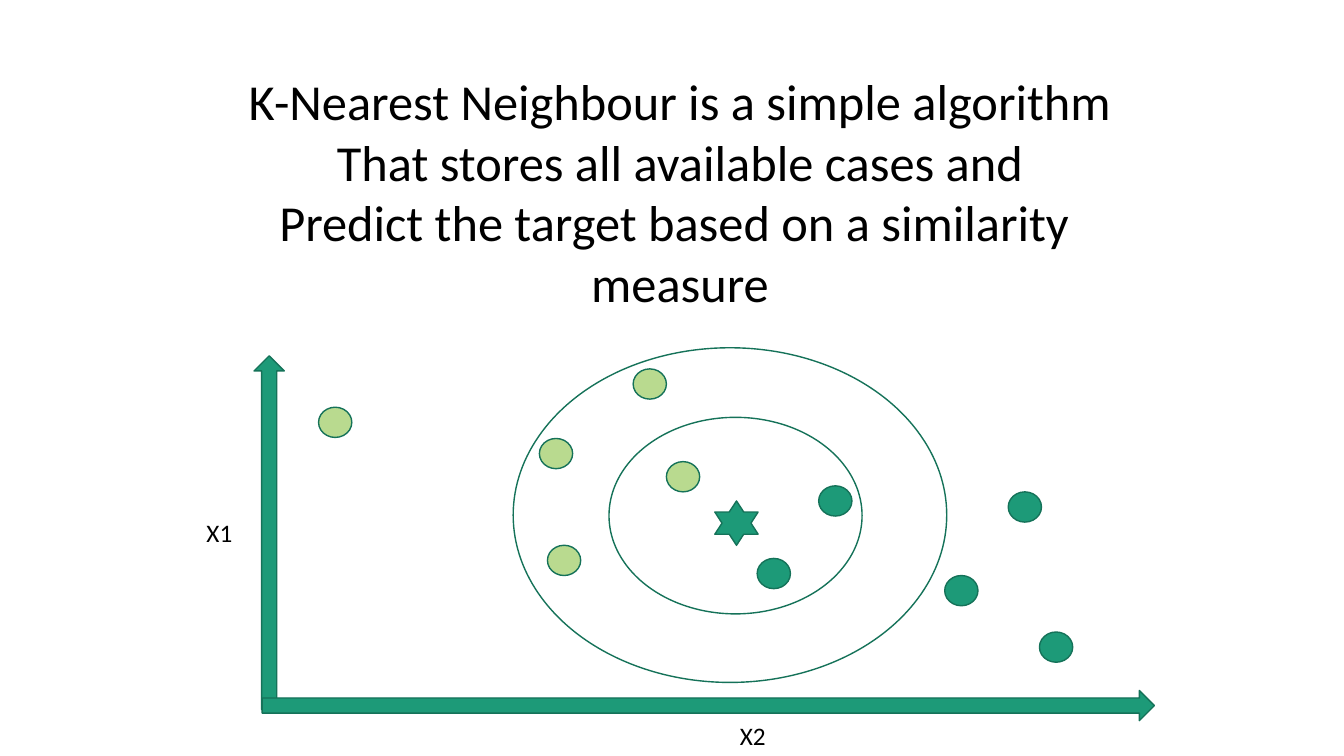
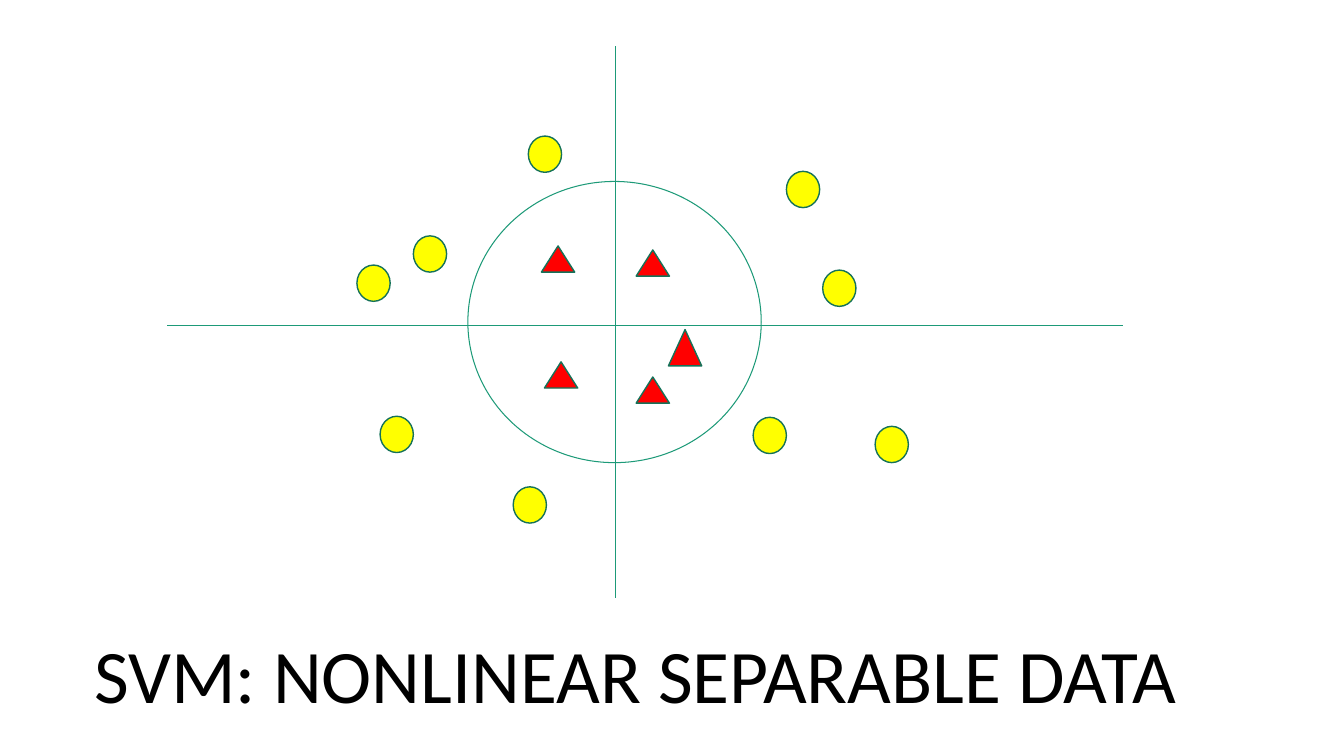
"""Build two slides that sketch nearest neighbours and nonlinear SVM data."""
import pptx
import pptx.dml.color
import pptx.enum.shapes
import pptx.enum.text
import pptx.oxml.ns
import pptx.util
import lxml.etree

Inches = pptx.util.Inches
SHAPE = pptx.enum.shapes.MSO_SHAPE
ALIGN = pptx.enum.text.PP_ALIGN
FONT = "Calibri"
COLORS = {
    "text": "000000",
    "white": "FFFFFF",
    "green": "1D9A78",
    "outline": "157259",
    "lime": "B9DA8F",
    "red": "FF0000",
    "yellow": "FFFF00",
}


def rgb(name):
    return pptx.dml.color.RGBColor.from_string(COLORS[name])


def add_text(s, lines, box, size=18, color="text", align=ALIGN.LEFT, wrap=False):
    tf = s.shapes.add_textbox(*map(Inches, box)).text_frame
    tf.word_wrap = wrap
    tf.auto_size = pptx.enum.text.MSO_AUTO_SIZE.SHAPE_TO_FIT_TEXT
    for i, line in enumerate(lines):
        p = tf.paragraphs[0] if i == 0 else tf.add_paragraph()
        p.alignment = align
        r = p.add_run()
        r.text = line
        r.font.name = FONT
        r.font.size = pptx.util.Pt(size)
        r.font.color.rgb = rgb(color)


def add_shape(s, kind, box, fill=None, line="outline", weight=1):
    sp = s.shapes.add_shape(kind, *map(Inches, box))
    sp.shadow.inherit = False
    if fill:
        sp.fill.solid()
        sp.fill.fore_color.rgb = rgb(fill)
    else:
        sp.fill.background()
    sp.line.color.rgb = rgb(line)
    sp.line.width = pptx.util.Pt(weight)


def add_markers(s, kind, points, size, fill):
    for point in points:
        add_shape(s, kind, (*point, *size), fill)


def add_line(s, start, end, color="green", weight=0.5):
    c = s.shapes.add_connector(
        pptx.enum.shapes.MSO_CONNECTOR.STRAIGHT, *map(Inches, (*start, *end)))
    c.line.color.rgb = rgb(color)
    c.line.width = pptx.util.Pt(weight)
    lxml.etree.SubElement(c._element.spPr, pptx.oxml.ns.qn("a:effectLst"))


def build_neighbours(s):
    add_text(s, ["K-Nearest Neighbour is a simple algorithm",
                 "That stores all available cases and",
                 "Predict the target based on a similarity ",
                 "measure"],
             (1.1, 0.65, 11.29, 2.52), size=36, align=ALIGN.CENTER, wrap=True)
    add_shape(s, SHAPE.UP_ARROW, (2.52, 3.53, 0.3, 3.51), "green")
    add_shape(s, SHAPE.RIGHT_ARROW, (2.6, 6.85, 8.85, 0.3), "green")
    add_shape(s, SHAPE.OVAL, (5.09, 3.45, 4.3, 3.32), "white")
    add_shape(s, SHAPE.OVAL, (6.04, 4.14, 2.51, 1.95), "white")
    add_shape(s, SHAPE.STAR_6_POINT, (7.09, 4.97, 0.43, 0.44), "green")
    dot = (0.33, 0.3)
    lime_points = [(3.16, 4.04), (5.35, 4.35), (5.43, 5.41), (6.28, 3.66), (6.61, 4.58)]
    green_points = [(7.51, 5.54), (8.12, 4.82), (9.37, 5.71), (10.31, 6.27), (10, 4.88)]
    add_markers(s, SHAPE.OVAL, lime_points, dot, "lime")
    add_markers(s, SHAPE.OVAL, green_points, dot, "green")
    add_text(s, ["X1"], (1.95, 5.08, 0.46, 0.4))
    add_text(s, ["X2"], (7.24, 7.1, 0.46, 0.4))


def build_svm(s):
    add_line(s, (6.1, 0.46), (6.1, 5.93))
    add_line(s, (1.66, 3.23), (11.14, 3.23))
    add_shape(s, SHAPE.OVAL, (4.64, 1.8, 2.91, 2.79), line="green", weight=0.75)
    triangles = [(5.37, 2.44), (6.31, 3.74), (5.4, 3.59), (6.31, 2.48)]
    add_markers(s, SHAPE.ISOSCELES_TRIANGLE, triangles, (0.33, 0.26), "red")
    add_markers(s, SHAPE.ISOSCELES_TRIANGLE, [(6.63, 3.27)], (0.33, 0.36), "red")
    circles = [(4.1, 2.34), (5.09, 4.83), (3.54, 2.63), (5.24, 1.35), (8.68, 4.23),
               (7.47, 4.14), (8.16, 2.68), (7.8, 1.7), (3.77, 4.13)]
    add_markers(s, SHAPE.OVAL, circles, (0.33, 0.36), "yellow")
    add_text(s, ["SVM: NONLINEAR SEPARABLE DATA"], (0.78, 6.18, 11.05, 1.01),
             size=54, align=ALIGN.CENTER)


def main():
    prs = pptx.Presentation()
    prs.slide_width, prs.slide_height = Inches(13.33), Inches(7.5)
    for build in (build_neighbours, build_svm):
        build(prs.slides.add_slide(prs.slide_layouts[6]))
    prs.save("out.pptx")


if __name__ == "__main__":
    main()
